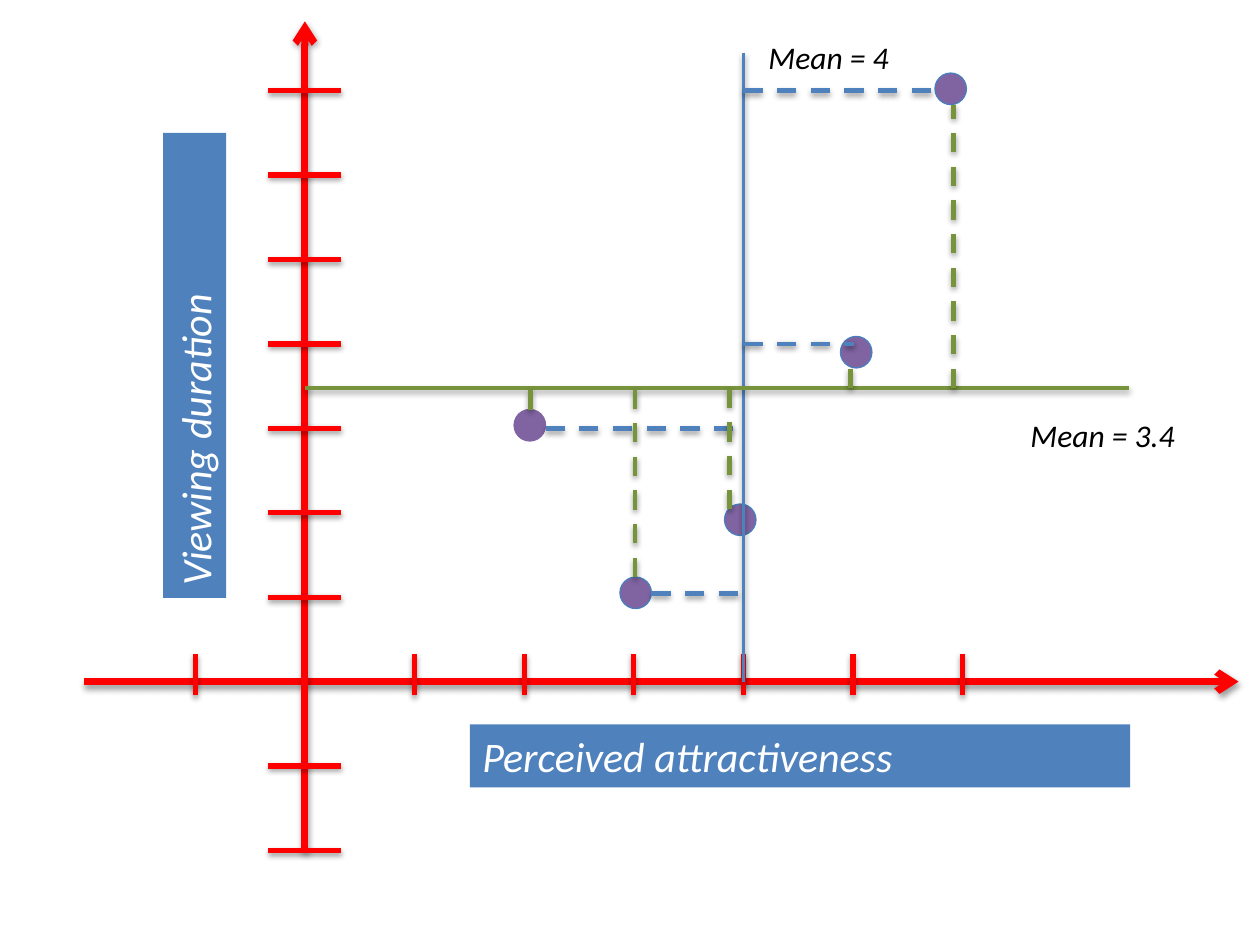
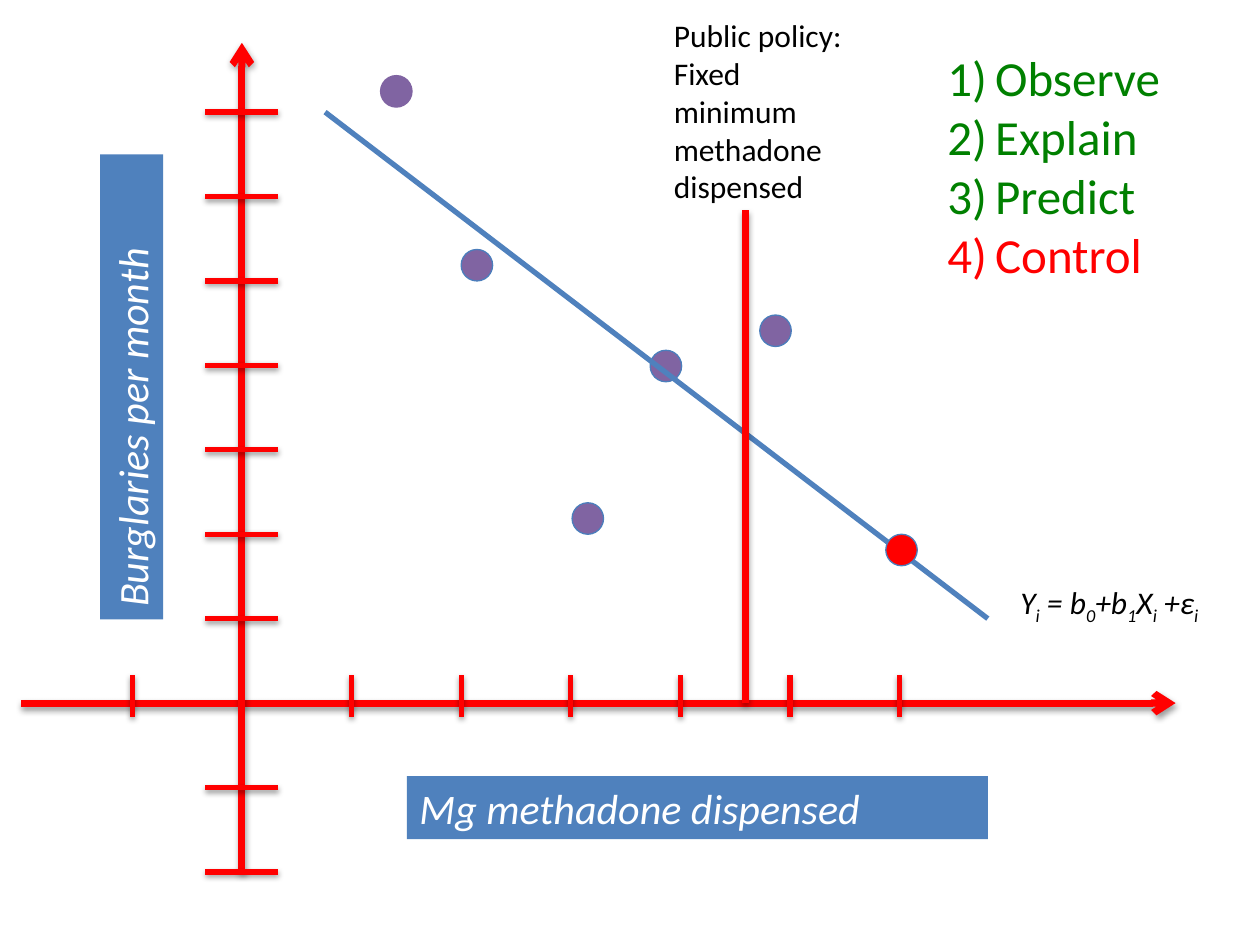
"""Builds two scatter plot slides that share one pair of hand-drawn axes."""
from pptx import Presentation
from pptx.dml.color import RGBColor
from pptx.enum.dml import MSO_LINE
from pptx.enum.shapes import MSO_CONNECTOR, MSO_SHAPE
from pptx.oxml import parse_xml
from pptx.oxml.ns import nsdecls, qn
from pptx.oxml.xmlchemy import OxmlElement
from pptx.util import Inches, Pt

RED = RGBColor(0xFF, 0x00, 0x00)
BLUE = RGBColor(0x4F, 0x81, 0xBD)
OUTLINE = RGBColor(0x4B, 0x7E, 0xBC)
PURPLE = RGBColor(0x80, 0x64, 0xA2)
OLIVE = RGBColor(0x77, 0x93, 0x3C)
GREEN = RGBColor(0x00, 0x80, 0x00)
WHITE = RGBColor(0xFF, 0xFF, 0xFF)
BLACK = RGBColor(0x00, 0x00, 0x00)

FONT = "Calibri"
DOT = 0.25
X_STEP, Y_STEP = 0.87, 0.67
X_TICKS = (-1, 1, 2, 3, 4, 5, 6)
Y_TICKS = (-2, -1, 1, 2, 3, 4, 5, 6, 7)
SHADOW = (
    f'<a:effectLst {nsdecls("a")}>'
    '<a:outerShdw blurRad="40000" dist="20000" dir="5400000" rotWithShape="0">'
    '<a:srgbClr val="000000"><a:alpha val="38000"/></a:srgbClr>'
    '</a:outerShdw></a:effectLst>'
)


class Plot:
    def __init__(self, deck):
        self.deck = deck
        self.shapes = None

    def new_slide(self):
        self.shapes = self.deck.slides.add_slide(self.deck.slide_layouts[6]).shapes

    def line(self, start, end, color, width, dashed=False, arrow=False, shadow=True):
        connector = self.shapes.add_connector(
            MSO_CONNECTOR.STRAIGHT, *map(Inches, start + end))
        connector.line.color.rgb = color
        connector.line.width = Pt(width)
        if dashed:
            connector.line.dash_style = MSO_LINE.DASH
        properties = connector.element.spPr
        if arrow:
            head = OxmlElement("a:tailEnd")
            head.set("type", "arrow")
            properties.find(qn("a:ln")).append(head)
        properties.append(parse_xml(SHADOW) if shadow else OxmlElement("a:effectLst"))

    def text(self, box, lines, size=18, color=BLACK, italic=False):
        label = self.shapes.add_textbox(*map(Inches, box))
        frame = label.text_frame
        frame.word_wrap = True
        frame.text = "\n".join(lines)
        for paragraph in frame.paragraphs:
            font = paragraph.font
            font.name, font.size, font.italic = FONT, Pt(size), italic
            font.color.rgb = color
        return label

    def band(self, box, caption, rotation=0):
        band = self.text(box, [caption], 24, WHITE, True)
        band.fill.solid()
        band.fill.fore_color.rgb = BLUE
        band.rotation = rotation

    def dot(self, left, top, fill=PURPLE, outline=OUTLINE):
        dot = self.shapes.add_shape(
            MSO_SHAPE.OVAL, Inches(left), Inches(top), Inches(DOT), Inches(DOT))
        dot.shadow.inherit = False
        dot.fill.solid()
        dot.fill.fore_color.rgb = fill
        dot.line.color.rgb = outline
        dot.line.width = Pt(0.75)

    def dots(self, places):
        for index, place in enumerate(places):
            self.dot(*place, outline=OUTLINE if index else PURPLE)

    def axes(self, x, y, x_caption, x_band, y_caption):
        self.line((x - 1.75, y), (x + 7.41, y), RED, 4, arrow=True)
        self.line((x, y + 1.34), (x, y - 5.24), RED, 4, arrow=True)
        for tick in X_TICKS:
            at = x + tick * X_STEP
            self.line((at, y + 0.11), (at, y - 0.22), RED, 3)
        for tick in Y_TICKS:
            at = y - tick * Y_STEP
            self.line((x - 0.29, at), (x + 0.29, at), RED, 3)
        self.band(x_band, x_caption)
        self.band((x - 2.72, y - 2.76, 3.69, 0.5), y_caption, 270)

    def numbered(self, box, items, colors):
        steps = self.text(box, items, 28)
        for paragraph, color in zip(steps.text_frame.paragraphs, colors):
            paragraph.font.color.rgb = color
            properties = paragraph._p.get_or_add_pPr()
            properties.set("marL", str(Inches(0.38)))
            properties.set("indent", str(-Inches(0.38)))
            number = OxmlElement("a:buAutoNum")
            number.set("type", "arabicParenR")
            properties.insert(0, number)

    def formula(self, box, parts):
        equation = self.text(box, [""], italic=True).text_frame.paragraphs[0]
        for index, part in enumerate(parts):
            run = equation.add_run()
            run.text = part
            if index % 2:
                run._r.get_or_add_rPr().set("baseline", "-25000")


def deviations_slide(plot):
    plot.new_slide()
    plot.axes(2.42, 5.41, "Perceived attractiveness", (3.73, 5.75, 5.24, 0.5),
              "Viewing duration")
    plot.dots([(4.08, 3.25), (5.75, 4), (4.92, 4.58), (6.67, 2.67), (7.42, 0.58)])

    mean_x, mean_y = 5.9, 3.08
    plot.line((mean_x, 5.41), (mean_x, 0.42), BLUE, 2)
    plot.text((6, 0.25, 1.75, 0.4), ["Mean = 4"], italic=True)
    for x, y in [(5.17, 4.71), (4.33, 3.4), (6.78, 2.73), (7.48, 0.72)]:
        plot.line((min(x, mean_x), y), (max(x, mean_x), y), BLUE, 2.75, dashed=True)

    plot.line((2.42, mean_y), (8.96, mean_y), OLIVE, 2)
    plot.text((8.08, 3.25, 1.75, 0.4), ["Mean = 3.4"], italic=True)
    for x, y in [(4.21, 3.25), (5.04, 4.58), (5.79, 4.04), (6.75, 2.92), (7.57, 0.83)]:
        plot.line((x, max(y, mean_y)), (x, min(y, mean_y)), OLIVE, 2.75, dashed=True)


def policy_slide(plot):
    plot.new_slide()
    plot.axes(1.92, 5.58, "Mg methadone dispensed", (3.23, 6.16, 4.61, 0.5),
              "Burglaries per month")
    plot.dots([(3.02, 0.6), (4.54, 3.99), (3.66, 1.98), (6.03, 2.5), (5.16, 2.78)])
    plot.numbered((7.42, 0.33, 2.17, 1.99),
                  ["Observe", "Explain", "Predict", "Control"],
                  [GREEN, GREEN, GREEN, RED])
    plot.line((2.58, 0.89), (7.84, 4.91), BLUE, 3, shadow=False)
    plot.dot(7.03, 4.24, RED)
    plot.line((5.92, 1.67), (5.92, 5.58), RED, 4)
    plot.text((5.25, 0.08, 1.67, 1.62),
              ["Public policy:", "Fixed minimum methadone", "dispensed"])
    plot.formula((8, 4.58, 2, 0.71),
                 ["Y", "i", " = b", "0", "+b", "1", "X", "i", " +ε", "i"])


def main():
    deck = Presentation()
    deck.slide_width, deck.slide_height = Inches(10), Inches(7.5)
    plot = Plot(deck)
    deviations_slide(plot)
    policy_slide(plot)
    deck.save("out.pptx")


if __name__ == "__main__":
    main()
